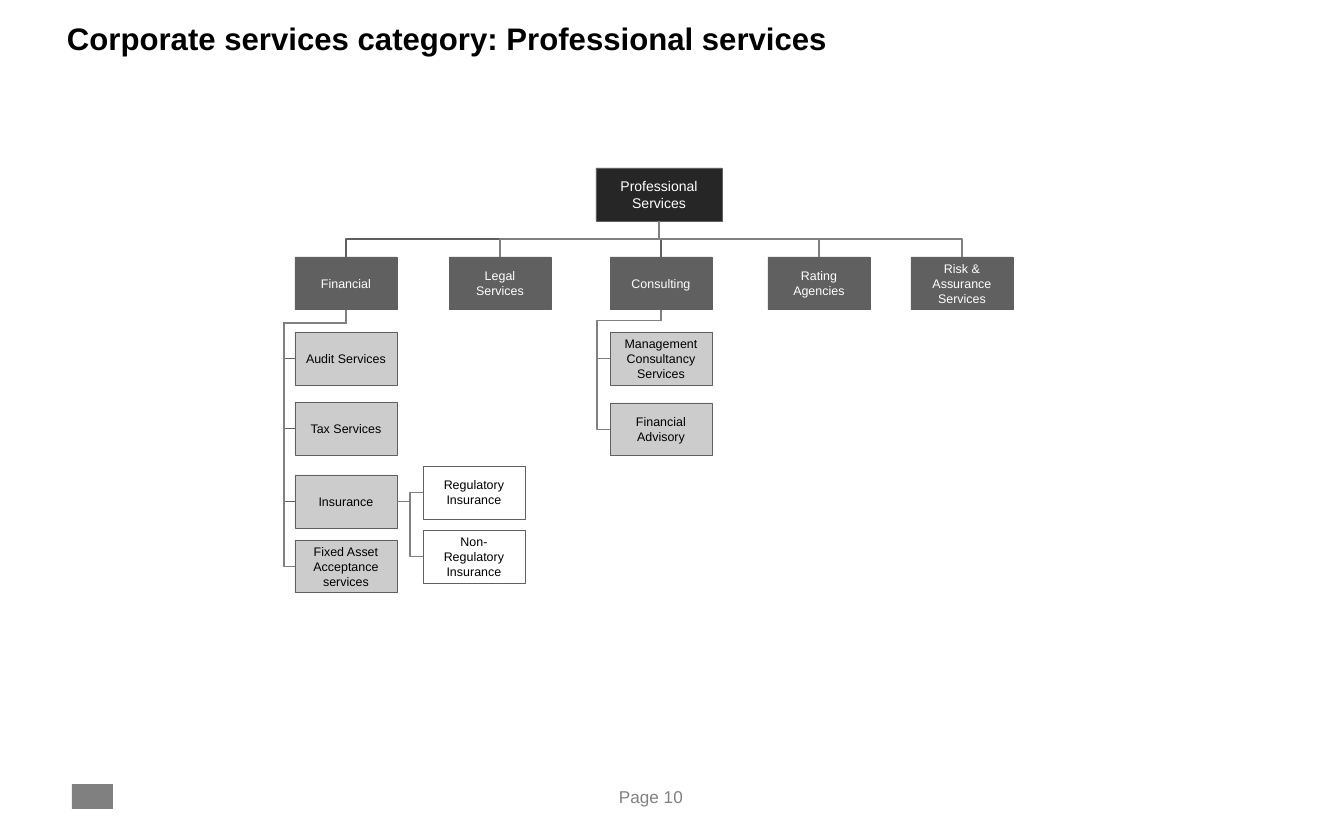
from dataclasses import dataclass

from lxml.etree import SubElement
from pptx import Presentation
from pptx.dml.color import RGBColor
from pptx.enum.shapes import MSO_CONNECTOR, MSO_SHAPE
from pptx.enum.text import MSO_ANCHOR, MSO_AUTO_SIZE, PP_ALIGN
from pptx.oxml.ns import qn
from pptx.shapes.autoshape import Shape
from pptx.shapes.connector import Connector
from pptx.slide import Slide
from pptx.text.text import TextFrame
from pptx.util import Emu, Inches, Pt

FONT = "Arial"
BLACK, WHITE = "000000", "FFFFFF"
DARK, MID, PALE, GREY = "262626", "606060", "CCCCCC", "808080"
BOX_WIDTH, BOX_HEIGHT, BOX_INSET = 102, 53, 11
TOP, BOTTOM, LEFT, RIGHT = 0, 2, 1, 3


@dataclass(frozen=True)
class Level:
    fill: str | None
    text: str
    size: int = 8
    width: int = BOX_WIDTH


ROOT = Level(DARK, WHITE, 9, 126)
CATEGORY = Level(MID, WHITE)
SERVICE = Level(PALE, BLACK)
DETAIL = Level(None, BLACK)


@dataclass(frozen=True)
class Entry:
    label: str
    position: int
    line: str = GREY


@dataclass(frozen=True)
class Branch:
    """Services hanging below a category, with the shape of their bracket."""
    category: str
    left: int
    drop: int
    overhang: int
    services: tuple[Entry, ...]


CATEGORIES = (
    Entry("Financial", 295, MID),
    Entry("Legal Services", 449),
    Entry("Consulting", 610, MID),
    Entry("Rating Agencies", 768),
    Entry("Risk & Assurance Services", 911),
)
BRANCHES = (
    Branch("Financial", 295, 13, 11, (
        Entry("Audit Services", 332, MID),
        Entry("Tax Services", 402, MID),
        Entry("Insurance", 475, MID),
        Entry("Fixed Asset Acceptance services", 540),
    )),
    Branch("Consulting", 610, 11, 13, (
        Entry("Management Consultancy Services", 332),
        Entry("Financial Advisory", 403),
    )),
)
INSURANCE_TYPES = (
    Entry("Regulatory Insurance", 466),
    Entry("Non-Regulatory Insurance", 530),
)


def px(length: float) -> Emu:
    return Emu(round(length * Inches(1) / 112))


def rgb(value: str) -> RGBColor:
    return RGBColor.from_string(value)


def write(frame: TextFrame, text: str, size: int, color: str,
          align: PP_ALIGN, bold: bool = False, inset: int = 0) -> None:
    frame.text = text
    frame.word_wrap = True
    frame.margin_left = frame.margin_right = px(inset)
    frame.margin_top = frame.margin_bottom = 0
    paragraph = frame.paragraphs[0]
    paragraph.alignment = align
    for run in paragraph.runs:
        run.font.name = FONT
        run.font.size = Pt(size)
        run.font.bold = bold
        run.font.color.rgb = rgb(color)


def add_box(slide: Slide, label: str, left: int, top: int, level: Level) -> Shape:
    box = slide.shapes.add_shape(MSO_SHAPE.RECTANGLE, px(left), px(top),
                                 px(level.width), px(BOX_HEIGHT))
    box.shadow.inherit = False
    if level.fill:
        box.fill.solid()
        box.fill.fore_color.rgb = rgb(level.fill)
    else:
        box.fill.background()
    box.line.color.rgb = rgb(MID)
    box.line.width = Pt(0.5)
    write(box.text_frame, label, level.size, level.text, PP_ALIGN.CENTER, inset=BOX_INSET)
    box.text_frame.vertical_anchor = MSO_ANCHOR.MIDDLE
    return box


def add_elbow(slide: Slide, start: Shape, start_site: int,
              end: Shape, end_site: int, color: str) -> Connector:
    elbow = slide.shapes.add_connector(MSO_CONNECTOR.ELBOW, 0, 0, 0, 0)
    elbow.begin_connect(start, start_site)
    elbow.end_connect(end, end_site)
    elbow.line.color.rgb = rgb(color)
    elbow.line.width = Pt(0.75)
    SubElement(elbow._element.spPr, qn("a:effectLst"))
    return elbow


def turn_down(elbow: Connector) -> tuple[int, int]:
    """Rotate an elbow so it leaves downwards; return its drop and sideways run."""
    across = elbow.end_x - elbow.begin_x
    down = elbow.end_y - elbow.begin_y
    center_x = (elbow.begin_x + elbow.end_x) // 2
    center_y = (elbow.begin_y + elbow.end_y) // 2
    xfrm = elbow._element.spPr.find(qn("a:xfrm"))
    xfrm.attrib.clear()
    if across < 0:
        xfrm.set("rot", "5400000")
    else:
        xfrm.set("rot", "16200000")
        xfrm.set("flipH", "1")
    elbow.width, elbow.height = Emu(down), Emu(abs(across))
    elbow.left, elbow.top = Emu(center_x - down // 2), Emu(center_y - abs(across) // 2)
    return down, abs(across)


def add_bracket(slide: Slide, category: Shape, service: Shape,
                branch: Branch, color: str) -> None:
    """Run from below a category around to the left side of a service."""
    elbow = add_elbow(slide, category, BOTTOM, service, LEFT, color)
    down, across = turn_down(elbow)
    geometry = elbow._element.spPr.find(qn("a:prstGeom"))
    geometry.set("prst", "bentConnector4")
    ratios = (px(branch.drop) / down, 1 + px(branch.overhang) / across)
    for number, ratio in enumerate(ratios, 1):
        SubElement(geometry.find(qn("a:avLst")), qn("a:gd"),
                   name=f"adj{number}", fmla=f"val {round(ratio * 100000)}")


def add_tree(slide: Slide) -> None:
    root = add_box(slide, "Professional Services", 596, 168, ROOT)
    boxes = {entry.label: add_box(slide, entry.label, entry.position, 257, CATEGORY)
             for entry in CATEGORIES}
    for branch in BRANCHES:
        for entry in branch.services:
            boxes[entry.label] = add_box(slide, entry.label, branch.left,
                                         entry.position, SERVICE)
            add_bracket(slide, boxes[branch.category], boxes[entry.label],
                        branch, entry.line)
    for entry in CATEGORIES:
        turn_down(add_elbow(slide, root, BOTTOM, boxes[entry.label], TOP, entry.line))
    for entry in INSURANCE_TYPES:
        detail = add_box(slide, entry.label, 423, entry.position, DETAIL)
        add_elbow(slide, boxes["Insurance"], RIGHT, detail, LEFT, entry.line)


def add_title(slide: Slide) -> None:
    title = slide.shapes.title
    title.left, title.top, title.width, title.height = px(67), px(25), px(1210), px(45)
    write(title.text_frame, "Corporate services category: Professional services",
          20, BLACK, PP_ALIGN.LEFT, bold=True)
    title.text_frame.auto_size = MSO_AUTO_SIZE.NONE
    title.text_frame.vertical_anchor = MSO_ANCHOR.TOP
    title.text_frame.paragraphs[0].line_spacing = 0.85


def add_footer(slide: Slide) -> None:
    emblem = slide.shapes.add_shape(MSO_SHAPE.RECTANGLE, px(72), px(784), px(41), px(25))
    emblem.shadow.inherit = False
    emblem.fill.solid()
    emblem.fill.fore_color.rgb = rgb(GREY)
    emblem.line.fill.background()
    page = slide.shapes.add_textbox(px(619), px(786), px(105), px(25))
    write(page.text_frame, "Page 10", 11, GREY, PP_ALIGN.LEFT)


def main() -> None:
    deck = Presentation()
    deck.slide_width, deck.slide_height = Inches(12), Inches(7.5)
    slide = deck.slides.add_slide(deck.slide_layouts[5])
    add_footer(slide)
    add_title(slide)
    add_tree(slide)
    deck.save("out.pptx")


if __name__ == "__main__":
    main()
